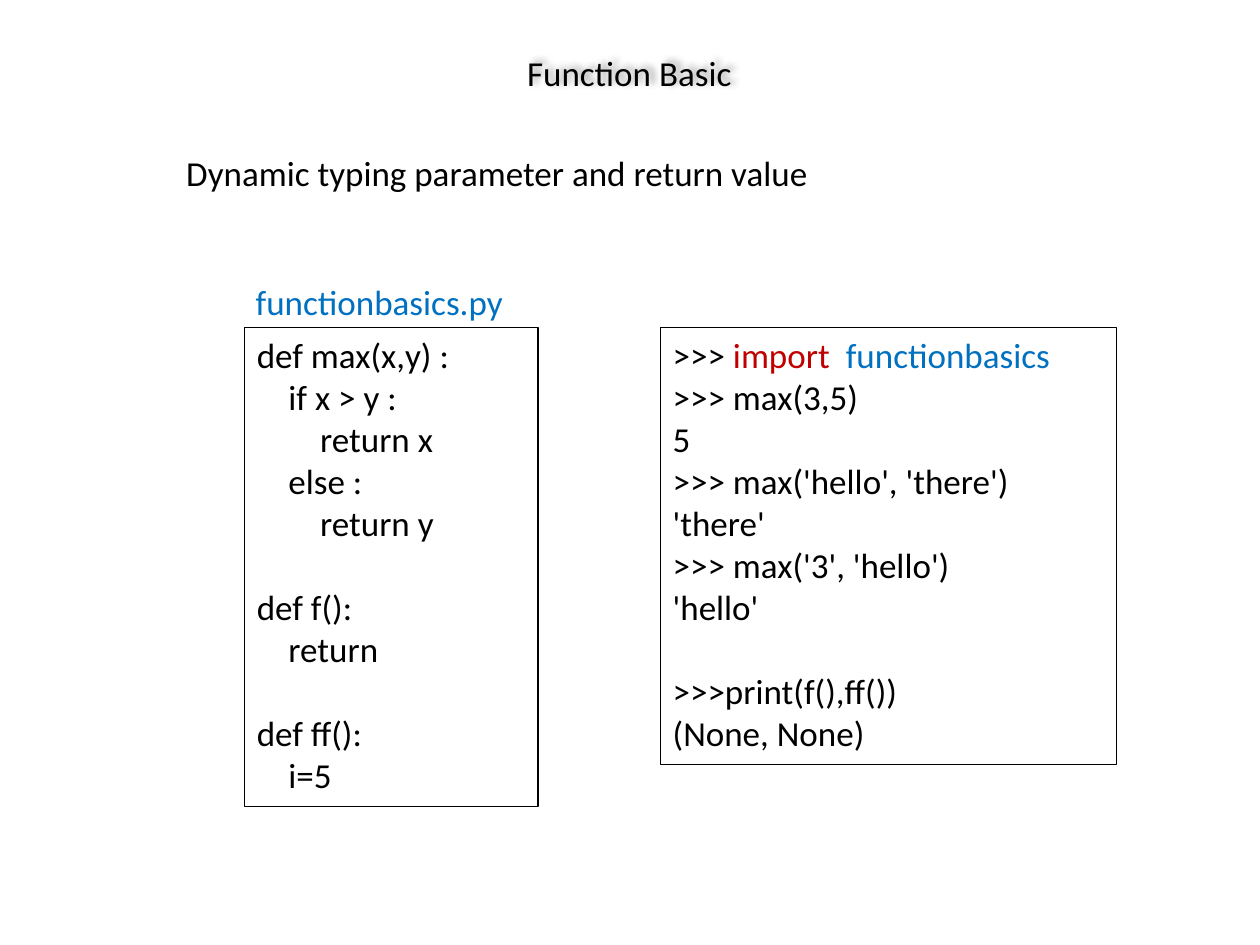
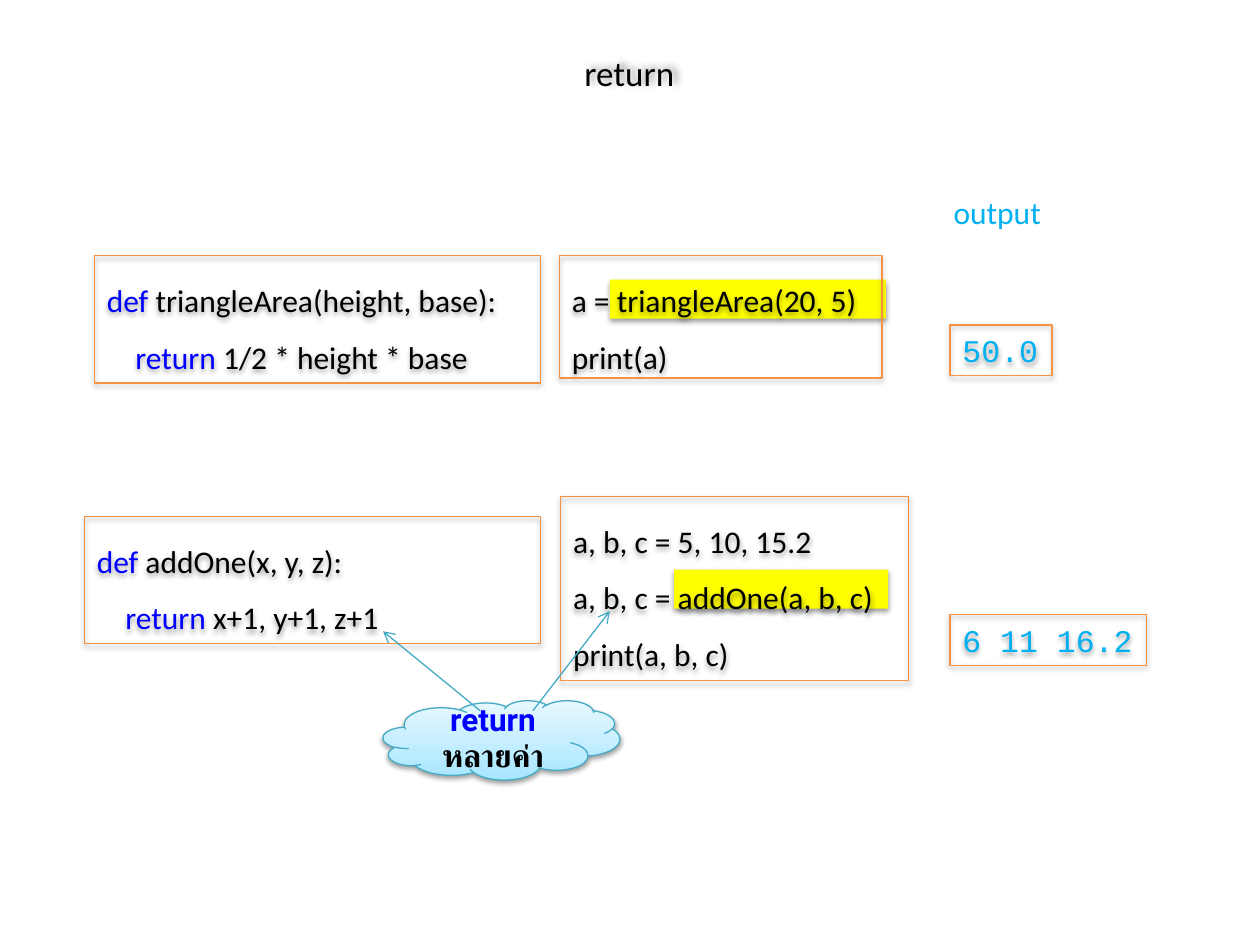
from lxml.etree import SubElement
from pptx import Presentation
from pptx.dml.color import RGBColor
from pptx.enum.shapes import MSO_CONNECTOR, MSO_SHAPE
from pptx.enum.text import MSO_ANCHOR, MSO_AUTO_SIZE, PP_ALIGN
from pptx.oxml.ns import qn
from pptx.util import Inches, Pt

BLACK = RGBColor(0x00, 0x00, 0x00)
RED = RGBColor(0xC0, 0x00, 0x00)
FILE_BLUE = RGBColor(0x00, 0x70, 0xC0)
KEYWORD_BLUE = RGBColor(0x00, 0x00, 0xFF)
OUTPUT_BLUE = RGBColor(0x00, 0xB0, 0xF0)
ORANGE = RGBColor(0xF6, 0x92, 0x40)
TEAL = RGBColor(0x46, 0xAA, 0xC5)
YELLOW = RGBColor(0xFF, 0xFF, 0x00)
CLOUD_BOTTOM = RGBColor(0xA7, 0xE6, 0xFF)
CLOUD_TOP = RGBColor(0xE7, 0xF8, 0xFF)

LINE_WIDTH = Pt(0.75)
BLANK_LINE = Pt(24)
SPACES_PER_LEVEL = 4
SPACE_WIDTH = 0.226

TITLE_SHADOW = {"alpha": 40, "blur": 4, "distance": 3, "angle": 315}
BOX_SHADOW = {"alpha": 38, "blur": 3.1, "distance": 1.6, "angle": 90}
LARGE = {"name": "Calibri", "size": Pt(20)}
MEDIUM = {"name": "Calibri", "size": Pt(18)}
CONSOLE = {"name": "Courier New", "size": Pt(18)}
CALLOUT = {"name": "Roboto", "size": Pt(18), "bold": True}


def line(*runs, level=0, gap=0):
    return runs, level, gap


def black(text):
    return text, BLACK


def keyword(text):
    return text, KEYWORD_BLUE


def set_all(target, values):
    for attribute, value in values.items():
        setattr(target, attribute, value)


def outline(shape, color):
    shape.line.color.rgb = color
    shape.line.width = LINE_WIDTH


def cast_shadow(shape, alpha, blur, distance, angle):
    shape.shadow.inherit = False
    effects = shape._element.spPr.find(qn("a:effectLst"))
    shadow = SubElement(effects, qn("a:outerShdw"), blurRad=str(Pt(blur)),
                        dist=str(Pt(distance)), dir=str(angle * 60000),
                        rotWithShape="0")
    color = SubElement(shadow, qn("a:srgbClr"), val=str(BLACK))
    SubElement(color, qn("a:alpha"), val=str(alpha * 1000))


def write(frame, lines, font, **paragraph_format):
    for index, (runs, level, gap) in enumerate(lines):
        paragraph = frame.add_paragraph() if index else frame.paragraphs[0]
        set_all(paragraph, {"space_before": gap, **paragraph_format})
        if level:
            indent = font["size"].pt / 72 * SPACE_WIDTH * SPACES_PER_LEVEL * level
            paragraph._p.get_or_add_pPr().set("marL", str(Inches(indent)))
        for text, color in runs:
            run = paragraph.add_run()
            run.text = text
            set_all(run.font, font)
            run.font.color.rgb = color


def add_text(slide, place, lines, font, border=None, shadow=None, wrap=True,
             anchor=MSO_ANCHOR.TOP, fit=MSO_AUTO_SIZE.SHAPE_TO_FIT_TEXT,
             **paragraph_format):
    box = slide.shapes.add_textbox(*map(Inches, place))
    if border is not None:
        outline(box, border)
    if shadow:
        cast_shadow(box, **shadow)
    set_all(box.text_frame, {"word_wrap": wrap, "auto_size": fit,
                             "vertical_anchor": anchor})
    write(box.text_frame, lines, font, **paragraph_format)


def add_title(slide, title):
    add_text(slide, (0.23, 0.3, 9.53, 0.55), [line(black(title))], LARGE,
             shadow=TITLE_SHADOW, anchor=MSO_ANCHOR.MIDDLE,
             fit=MSO_AUTO_SIZE.NONE, alignment=PP_ALIGN.CENTER)


def add_code(slide, place, lines):
    add_text(slide, place, lines, MEDIUM, ORANGE, BOX_SHADOW, line_spacing=1.5)


def add_output(slide, place, result):
    add_text(slide, place, [line((result, OUTPUT_BLUE))], CONSOLE, ORANGE,
             BOX_SHADOW, wrap=False, anchor=MSO_ANCHOR.MIDDLE)


def add_highlight(slide, place):
    highlight = slide.shapes.add_shape(MSO_SHAPE.RECTANGLE, *map(Inches, place))
    highlight.fill.solid()
    highlight.fill.fore_color.rgb = YELLOW
    highlight.line.fill.background()
    cast_shadow(highlight, **BOX_SHADOW)


def add_cloud(slide, place, lines):
    cloud = slide.shapes.add_shape(MSO_SHAPE.CLOUD, *map(Inches, place))
    cloud.fill.gradient()
    cloud.fill.gradient_angle = 90
    for stop, color in zip(cloud.fill.gradient_stops, (CLOUD_BOTTOM, CLOUD_TOP)):
        stop.color.rgb = color
    outline(cloud, TEAL)
    cast_shadow(cloud, **BOX_SHADOW)
    margins = dict.fromkeys(("margin_left", "margin_top", "margin_right",
                             "margin_bottom"), 0)
    set_all(cloud.text_frame, {"word_wrap": True,
                               "vertical_anchor": MSO_ANCHOR.MIDDLE, **margins})
    write(cloud.text_frame, lines, CALLOUT, alignment=PP_ALIGN.CENTER,
          line_spacing=0.96)


def add_arrow(slide, start, end):
    arrow = slide.shapes.add_connector(MSO_CONNECTOR.STRAIGHT,
                                       *map(Inches, start + end))
    outline(arrow, TEAL)
    SubElement(arrow.line._get_or_add_ln(), qn("a:tailEnd"), type="arrow")
    SubElement(arrow._element.spPr, qn("a:effectLst"))


def build_function_basic(slide):
    add_title(slide, "Function Basic")
    add_text(slide, (1.94, 2.6, 2.33, 3.8), [
        line(black("def max(x,y) :")),
        line(black("if x > y :"), level=1),
        line(black("return x"), level=2),
        line(black("else :"), level=1),
        line(black("return y"), level=2),
        line(black("def f():"), gap=BLANK_LINE),
        line(black("return"), level=1),
        line(black("def ff():"), gap=BLANK_LINE),
        line(black("i=5"), level=1),
    ], LARGE, BLACK)
    add_text(slide, (5.24, 2.6, 3.62, 3.47), [
        line(black(">>> "), ("import  ", RED), ("functionbasics", FILE_BLUE)),
        line(black(">>> max(3,5)")),
        line(black("5")),
        line(black(">>> max('hello', 'there')")),
        line(black("'there'")),
        line(black(">>> max('3', 'hello')")),
        line(black("'hello'")),
        line(black(">>>print(f(),ff())"), gap=BLANK_LINE),
        line(black("(None, None)")),
    ], LARGE, BLACK)
    add_text(slide, (1.93, 2.18, 2.28, 0.44),
             [line(("functionbasics.py", FILE_BLUE))], LARGE)
    add_text(slide, (1.38, 1.15, 8.03, 0.44),
             [line(black("Dynamic typing parameter and return value"))], LARGE)


def build_return(slide):
    add_highlight(slide, (5.35, 4.52, 1.7, 0.31))
    add_highlight(slide, (4.84, 2.22, 2.19, 0.31))
    add_code(slide, (4.44, 2.03, 2.56, 0.97), [
        line(black("a = triangleArea(20, 5)")),
        line(black("print(a)")),
    ])
    add_code(slide, (4.45, 3.94, 2.76, 1.46), [
        line(black("a, b, c = 5, 10, 15.2")),
        line(black("a, b, c = addOne(a, b, c)")),
        line(black("print(a, b, c)")),
    ])
    add_title(slide, "return")
    for place, signature, result in (
        ((0.75, 2.03, 3.54, 1.01), "triangleArea(height, base):",
         " 1/2 * height * base"),
        ((0.67, 4.1, 3.62, 1.01), "addOne(x, y, z):", " x+1, y+1, z+1"),
    ):
        add_code(slide, place, [
            line(keyword("def "), black(signature)),
            line(keyword("return"), black(result), level=1),
        ])
    add_text(slide, (7.47, 1.48, 0.9, 0.4), [line(("output", OUTPUT_BLUE))],
             MEDIUM, wrap=False)
    add_output(slide, (7.54, 2.58, 0.81, 0.4), "50.0")
    add_output(slide, (7.54, 4.88, 1.56, 0.4), "6 11 16.2")
    add_cloud(slide, (3.04, 5.56, 1.88, 0.63),
              [line(keyword("return "), black("หลายค่า"))])
    add_arrow(slide, (4.23, 5.64), (4.84, 4.85))
    add_arrow(slide, (3.81, 5.64), (3.04, 5.01))


def main():
    deck = Presentation()
    deck.slide_width, deck.slide_height = Inches(10), Inches(7.5)
    for build in (build_function_basic, build_return):
        build(deck.slides.add_slide(deck.slide_layouts[6]))
    deck.save("out.pptx")


if __name__ == "__main__":
    main()
